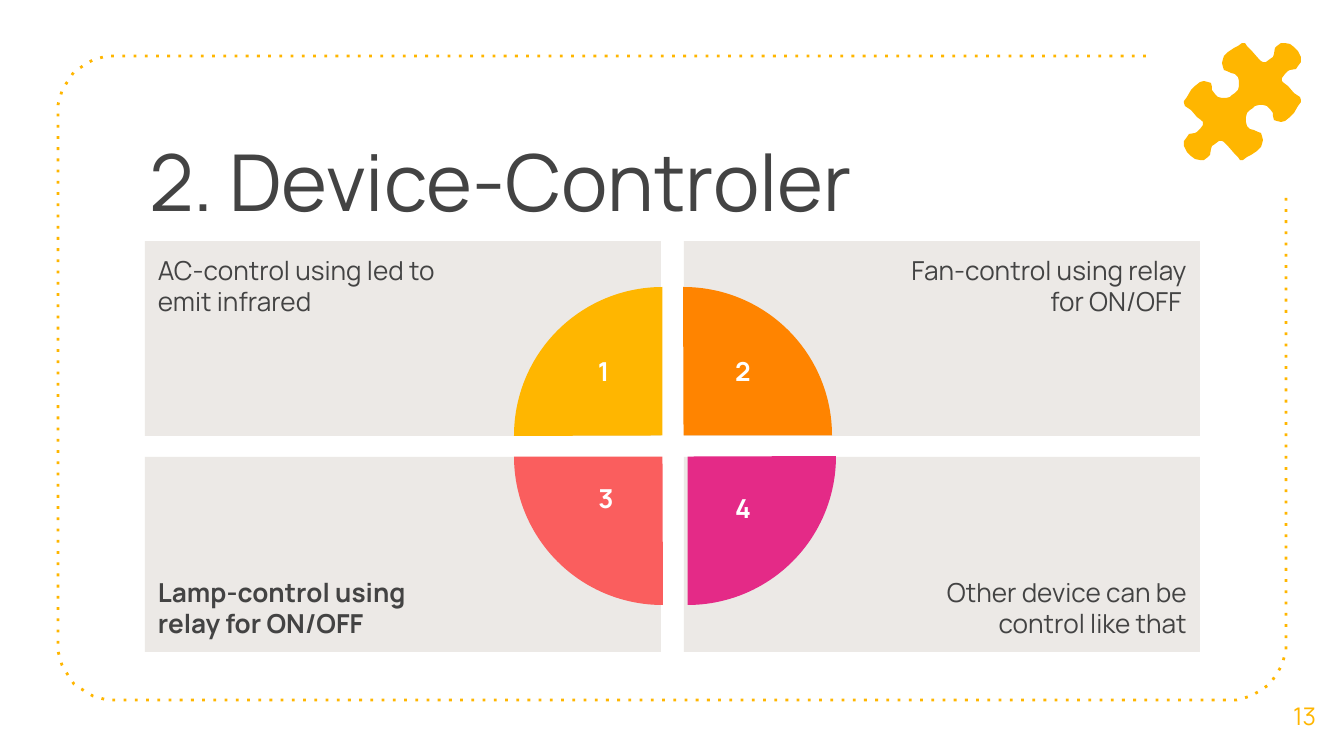
from math import cos, radians, sin

from pptx import Presentation
from pptx.dml.color import RGBColor
from pptx.enum.shapes import MSO_SHAPE as Shape
from pptx.enum.dml import MSO_LINE as Dash
from pptx.enum.text import MSO_ANCHOR as Anchor, PP_ALIGN as Align
from pptx.util import Emu, Pt

SCALE = 914400 / 134.4  # EMU per px
FONT = "Manrope"
YELLOW, ORANGE, CORAL, PINK = "FFB600", "FF8400", "FA5E5E", "E42A87"
GREY, DARK, WHITE = "ECE9E6", "434343", "FFFFFF"
INSET = 13
PIE_ROOM = 202  # text margin on the side of the pie

# Dotted frame
LEFT, TOP, RIGHT, BOTTOM, RADIUS = 58, 56, 1286, 700, 56

# Half of the puzzle outline; the other half is the same turned by 180 degrees
PUZZLE_LEFT, PUZZLE_TOP, PUZZLE_SIZE = 1184, 43, 117
PUZZLE_HALF = [
    (58, 0), (54, 3), (50, 5), (44, 9), (40, 13), (39, 16), (38, 20), (39, 24),
    (40, 27), (43, 28), (47, 30), (51, 31), (54, 34), (55, 38), (55, 43), (54, 47),
    (51, 50), (48, 52), (46, 54), (42, 55), (38, 55), (34, 54), (31, 51), (28, 47),
    (28, 44), (27, 40), (24, 39), (20, 38), (16, 39), (11, 43), (7, 47), (3, 54),
    (0, 58), (0, 60), (1, 63), (7, 67), (13, 74), (17, 77), (19, 79), (19, 82),
    (16, 86), (13, 89), (11, 90), (5, 91), (3, 94), (0, 98), (0, 103), (3, 109),
    (7, 113), (11, 116), (16, 117), (20, 117), (24, 114), (26, 112), (27, 106),
    (28, 103), (31, 101), (35, 98), (38, 98), (40, 99), (43, 102), (50, 110),
    (54, 114), (56, 117),
]


def px(value):
    return Emu(round(value * SCALE))


def color(value):
    return RGBColor.from_string(value)


def write(shape, text, size, text_color, align=Align.LEFT, anchor=Anchor.TOP,
          bold=False, margins=(INSET, INSET, INSET, INSET)):
    frame = shape.text_frame
    frame.word_wrap = True
    frame.vertical_anchor = anchor
    frame.margin_left, frame.margin_top, frame.margin_right, frame.margin_bottom = map(px, margins)
    paragraph = frame.paragraphs[0]
    paragraph.text = text
    paragraph.alignment = align
    font = paragraph.font
    font.name, font.size, font.bold = FONT, Pt(size), bold
    font.color.rgb = color(text_color)


def add_text(slide, box, text, size, text_color, **style):
    shape = slide.shapes.add_textbox(*map(px, box))
    write(shape, text, size, text_color, **style)


def paint(shape, fill):
    shape.shadow.inherit = False
    shape.fill.solid()
    shape.fill.fore_color.rgb = color(fill)
    shape.line.fill.background()


def add_filled(slide, kind, box, fill):
    shape = slide.shapes.add_shape(kind, *map(px, box))
    paint(shape, fill)
    return shape


def add_outline(slide, points, close):
    builder = slide.shapes.build_freeform(*points[0], scale=SCALE)
    builder.add_line_segments(points[1:], close=close)
    return builder.convert_to_shape()


def corner(x, y, start):
    """Points of a quarter circle, running against the clock from start degrees."""
    angles = [radians(start - step * 7.5) for step in range(13)]
    return [(round(x + RADIUS * cos(a), 2), round(y + RADIUS * sin(a), 2)) for a in angles]


def add_frame(slide):
    points = [(1146, TOP)]
    points += corner(LEFT + RADIUS, TOP + RADIUS, 270)
    points += corner(LEFT + RADIUS, BOTTOM - RADIUS, 180)
    points += corner(RIGHT - RADIUS, BOTTOM - RADIUS, 90)
    points.append((RIGHT, 196))
    shape = add_outline(slide, points, close=False)
    shape.shadow.inherit = False
    shape.fill.background()
    shape.line.color.rgb = color(YELLOW)
    shape.line.width = Pt(1.5)
    shape.line.dash_style = Dash.ROUND_DOT
    # The wide-spaced dot is not among the dash styles of python-pptx
    for dash in shape.element.iter("{*}prstDash"):
        dash.set("val", "dot")


def add_puzzle(slide):
    turned = [(PUZZLE_SIZE - x, PUZZLE_SIZE - y) for x, y in PUZZLE_HALF]
    points = [(PUZZLE_LEFT + x, PUZZLE_TOP + y) for x, y in PUZZLE_HALF + turned]
    paint(add_outline(slide, points, close=True), YELLOW)


def add_panel(slide, column, row, text, bold):
    box = (145 + 539 * column, 241 + 216 * row, 516, 195)
    panel = add_filled(slide, Shape.RECTANGLE, box, GREY)
    right = column == 1
    margins = (PIE_ROOM, INSET, INSET, INSET) if right else (INSET, INSET, PIE_ROOM, INSET)
    write(panel, text, 14, DARK, align=Align.RIGHT if right else Align.LEFT,
          anchor=Anchor.BOTTOM if row else Anchor.TOP, bold=bold, margins=margins)


def add_quarter(slide, left, top, rotation, fill):
    pie = add_filled(slide, Shape.PIE, (left, top, 297, 297), fill)
    pie.adjustments[0], pie.adjustments[1] = 107.89, 162
    pie.rotation = rotation


def main():
    presentation = Presentation()
    presentation.slide_width, presentation.slide_height = px(1344), px(756)
    slide = presentation.slides.add_slide(presentation.slide_layouts[6])

    # Frame, title and page number
    add_frame(slide)
    add_text(slide, (136, 120, 1071, 126), "2. Device-Controler", 42, DARK)
    add_text(slide, (1265, 675, 79, 81), "13", 13, YELLOW,
             align=Align.CENTER, anchor=Anchor.MIDDLE)

    # Text panels
    panels = [
        ("AC-control using led to emit infrared", False),
        ("Fan-control using relay for ON/OFF ", False),
        ("Lamp-control using relay for ON/OFF", True),
        ("Other device can be control like that", False),
    ]
    for index, (text, bold) in enumerate(panels):
        add_panel(slide, index % 2, index // 2, text, bold)

    # Quarters of the pie
    quarters = [(514, 287, YELLOW), (535, 287, ORANGE), (539, 308, PINK), (514, 308, CORAL)]
    for index, (left, top, fill) in enumerate(quarters):
        add_quarter(slide, left, top, 90 * index, fill)

    # Numbers on the quarters
    numbers = [(582, 348, 43), (721, 348, 44), (582, 475, 48), (721, 485, 44)]
    for number, (left, top, width) in enumerate(numbers, start=1):
        add_text(slide, (left, top, width, 55), str(number), 14, WHITE, align=Align.CENTER,
                 bold=True, margins=(INSET, 7, INSET, 7))

    add_puzzle(slide)
    presentation.save("out.pptx")


if __name__ == "__main__":
    main()
